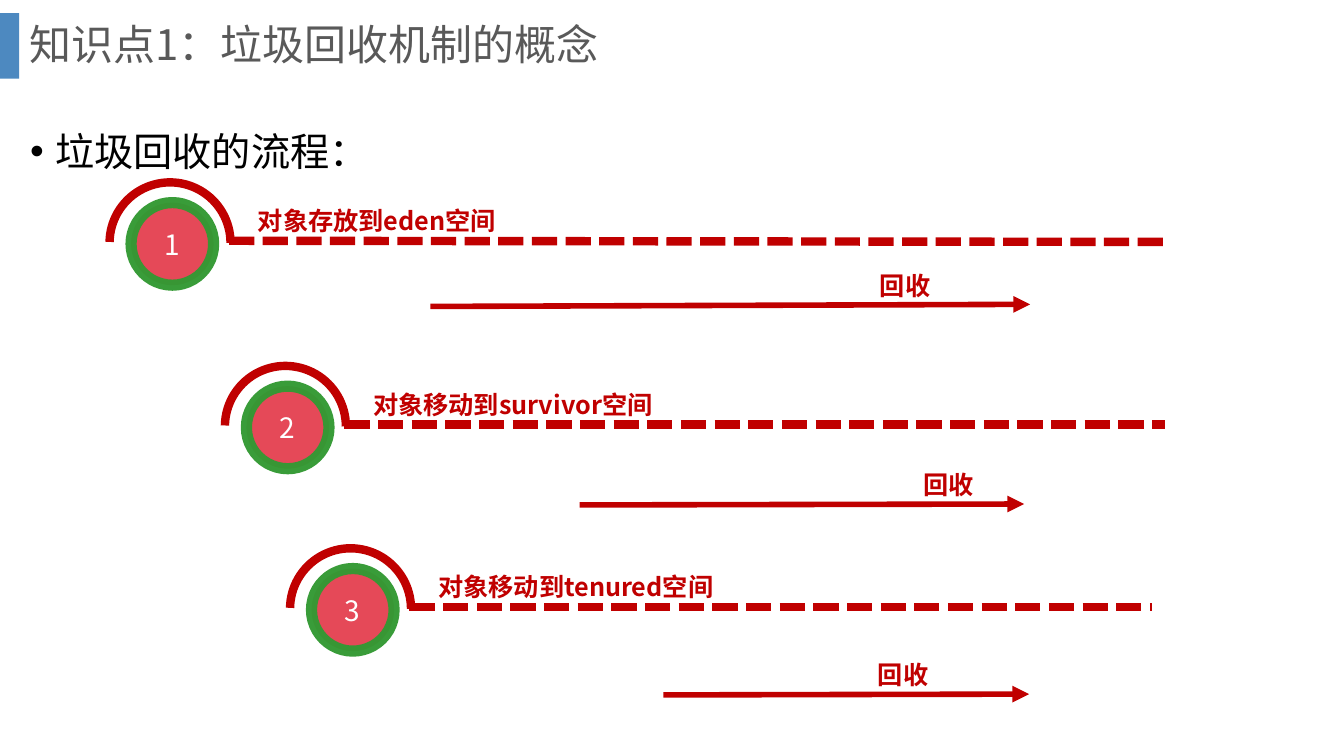
from dataclasses import dataclass

import pptx
import pptx.dml.color
import pptx.enum.dml
import pptx.enum.shapes
import pptx.enum.text
import pptx.oxml
import pptx.oxml.ns
import pptx.util
from lxml import etree

Pt = pptx.util.Pt
RGB = pptx.dml.color.RGBColor.from_string
Anchor = pptx.enum.text.MSO_ANCHOR
Align = pptx.enum.text.PP_ALIGN
AutoSize = pptx.enum.text.MSO_AUTO_SIZE
Shape = pptx.enum.shapes.MSO_SHAPE
qn = pptx.oxml.ns.qn


@dataclass(frozen=True)
class Theme:
    font: str = "Noto Sans CJK SC"
    bar: str = "2E75B6"
    title: str = "595959"
    body: str = "000000"
    disc: str = "E54958"
    ring: str = "339933"
    accent: str = "C00000"
    number: str = "FFFFFF"
    title_size: int = 30
    body_size: int = 28
    number_size: int = 20
    label_size: int = 18


THEME = Theme()
DISC, ARC = 59, 86.4

# number, disc left, disc top, label, label width, dashed line end
STAGES = [
    ("1", 93.6, 144.7, "对象存放到eden空间", 214.5, (832.3, 172.8)),
    ("2", 176, 275.8, "对象移动到survivor空间", 271.5, (832.3, 303.1)),
    ("3", 222.5, 406.1, "对象移动到tenured空间", 271.5, (823, 433.4)),
]
# arrow start, arrow end, label left and top
RECYCLINGS = [
    ((307.4, 218.9), (735.8, 217.4), (621.4, 189.4)),
    ((414, 360.7), (731.5, 360), (652.3, 331.9)),
    ((473.8, 496.4), (735.1, 495.8), (620, 467.7)),
]


def set_format(target, values):
    for name, value in values.items():
        setattr(target, name, value)


def set_opacity(shape_properties, percent):
    """Apply an opacity to the first solid colour below the element."""
    colour = next(shape_properties.iter(qn("a:srgbClr")))
    etree.SubElement(colour, qn("a:alpha"), val=str(percent * 1000))


def write(shape, text, size, colour, bold=False, frame=None, paragraph=None):
    """Put one formatted paragraph in a shape and return the paragraph."""
    set_format(shape.text_frame, {"word_wrap": True, **(frame or {})})
    first = shape.text_frame.paragraphs[0]
    set_format(first, paragraph or {})
    run = first.add_run()
    run.text = text
    set_format(run.font, {"size": Pt(size), "bold": bold, "name": THEME.font})
    run.font.color.rgb = RGB(colour)
    etree.SubElement(run.font._element, qn("a:ea"), typeface=THEME.font)
    return first


def place(shape, left, top, width, height):
    set_format(shape, {"left": Pt(left), "top": Pt(top),
                       "width": Pt(width), "height": Pt(height)})


def add_shape(slide, kind, left, top, width, height, fill=None, line=None, weight=0):
    shape = slide.shapes.add_shape(kind, Pt(left), Pt(top), Pt(width), Pt(height))
    shape.shadow.inherit = False
    if fill:
        shape.fill.solid()
        shape.fill.fore_color.rgb = RGB(fill)
    else:
        shape.fill.background()
    if line:
        shape.line.color.rgb = RGB(line)
        shape.line.width = Pt(weight)
    else:
        shape.line.fill.background()
    return shape


def add_line(slide, start, end, weight):
    connector = slide.shapes.add_connector(
        pptx.enum.shapes.MSO_CONNECTOR.STRAIGHT, *map(Pt, start + end))
    connector.line.color.rgb = RGB(THEME.accent)
    connector.line.width = Pt(weight)
    etree.SubElement(connector._element.spPr, qn("a:effectLst"))
    return connector


def add_label(slide, text, left, top, width):
    label = slide.shapes.add_textbox(Pt(left), Pt(top), Pt(width), Pt(29))
    write(label, text, THEME.label_size, THEME.accent, bold=True,
          frame={"auto_size": AutoSize.SHAPE_TO_FIT_TEXT})


def add_heading(slide):
    bar = add_shape(slide, Shape.RECTANGLE, 0, 9.4, 13.7, 46.8, fill=THEME.bar)
    set_opacity(bar._element.spPr, 85)
    title = slide.shapes.title
    place(title, 13.7, 0, 911.5, 67)
    write(title, "知识点1：垃圾回收机制的概念", THEME.title_size, THEME.title,
          frame={"vertical_anchor": Anchor.MIDDLE, "auto_size": AutoSize.NONE},
          paragraph={"alignment": Align.LEFT, "line_spacing": 0.9})


def add_list(slide):
    body = slide.placeholders[1]
    place(body, 14.4, 70.6, 928.8, 429.1)
    item = write(body, "垃圾回收的流程：", THEME.body_size, THEME.body,
                 frame={"auto_size": AutoSize.NONE},
                 paragraph={"line_spacing": 1.5, "space_before": Pt(0)})
    properties = item._p.get_or_add_pPr()
    properties.set("marL", str(Pt(18)))
    properties.set("indent", str(Pt(-18)))
    etree.SubElement(properties, qn("a:buFont"), typeface="Arial")
    etree.SubElement(properties, qn("a:buChar"), char="•")


def add_stage(slide, number, left, top, text, width, line_end):
    disc = add_shape(slide, Shape.OVAL, left, top, DISC, DISC,
                     fill=THEME.disc, line=THEME.ring, weight=8)
    set_opacity(disc.line._ln, 96)
    write(disc, number, THEME.number_size, THEME.number,
          frame={"vertical_anchor": Anchor.MIDDLE},
          paragraph={"alignment": Align.CENTER})
    arc = add_shape(slide, Shape.ARC, left - 15.3, top - 14.4, ARC, ARC,
                    line=THEME.accent, weight=6)
    arc.adjustments[0], arc.adjustments[1] = 108.524, 0
    dashes = add_line(slide, (left + 70, top + 27.3), line_end, 6)
    dashes.line.dash_style = pptx.enum.dml.MSO_LINE.SQUARE_DOT
    add_label(slide, text, left + 83.5, top - 1.4, width)


def add_recycling(slide, start, end, label_position):
    arrow = add_line(slide, start, end, 4)
    etree.SubElement(arrow.line._ln, qn("a:tailEnd"), type="triangle")
    add_label(slide, "回收", *label_position, 214.5)


def main():
    presentation = pptx.Presentation()
    set_format(presentation, {"slide_width": Pt(960), "slide_height": Pt(540)})
    slide = presentation.slides.add_slide(presentation.slide_layouts[1])
    add_heading(slide)
    add_list(slide)
    for stage, recycling in zip(STAGES, RECYCLINGS):
        add_stage(slide, *stage)
        add_recycling(slide, *recycling)
    presentation.save("out.pptx")


if __name__ == "__main__":
    main()
